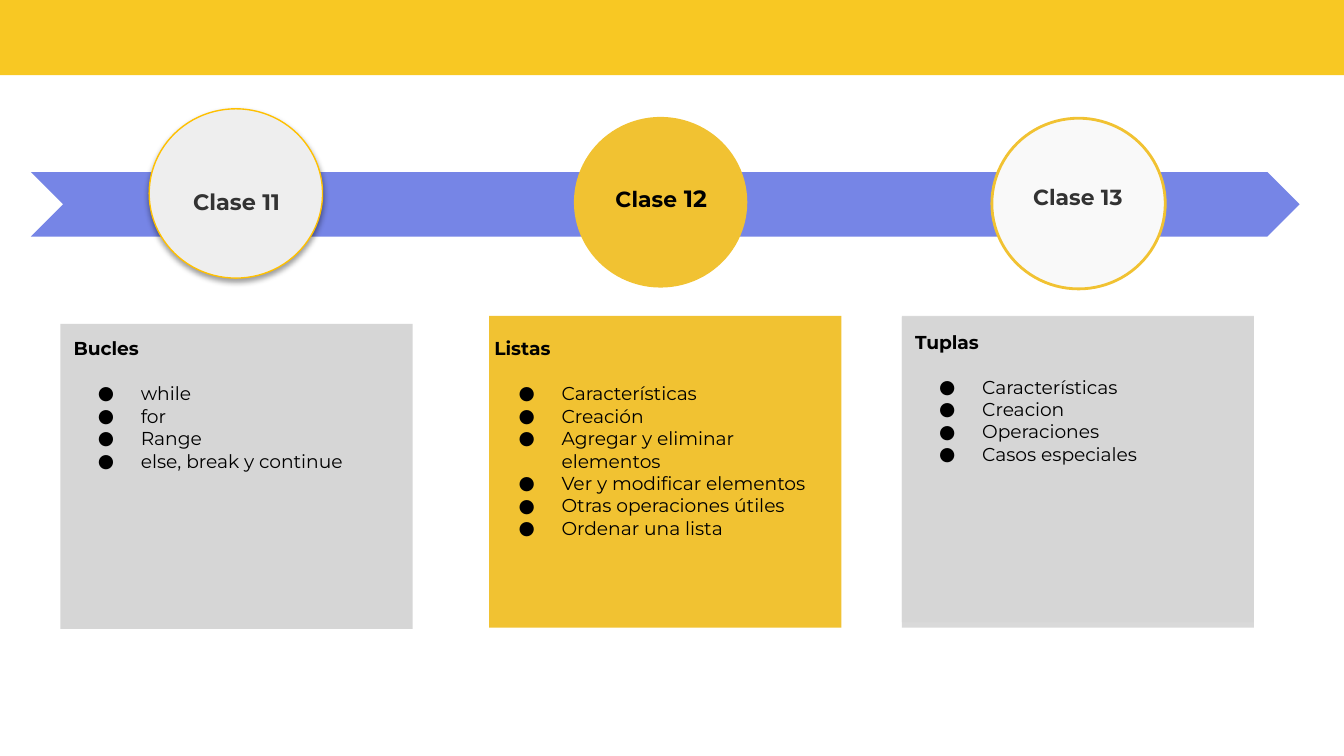
from lxml import etree
from pptx import Presentation
from pptx.dml.color import RGBColor
from pptx.enum.shapes import MSO_SHAPE
from pptx.enum.text import MSO_ANCHOR, PP_ALIGN
from pptx.oxml.ns import qn
from pptx.util import Inches, Pt

RECT, OVAL, CHEVRON = MSO_SHAPE.RECTANGLE, MSO_SHAPE.OVAL, MSO_SHAPE.CHEVRON
TOP, LEFT, CENTER = MSO_ANCHOR.TOP, PP_ALIGN.LEFT, PP_ALIGN.CENTER

BLACK = RGBColor(0x00, 0x00, 0x00)
DARK = RGBColor(0x33, 0x33, 0x33)
YELLOW = RGBColor(0xF8, 0xC8, 0x23)
GOLD = RGBColor(0xF1, 0xC2, 0x32)
AMBER = RGBColor(0xFF, 0xC0, 0x00)
BLUE = RGBColor(0x76, 0x85, 0xE6)
PANEL_GREY = RGBColor(0xD9, 0xD9, 0xD9)
CARD_GREY = RGBColor(0xD6, 0xD6, 0xD6)
CIRCLE_GREY = RGBColor(0xEE, 0xEE, 0xEE)
OFF_WHITE = RGBColor(0xF9, 0xF9, 0xF9)

FONT = "Montserrat"
BODY_SIZE = 10
CARD_W, CARD_H, PANEL_H = 2.62, 2.27, 2.32
CIRCLE_W, CIRCLE_H = 1.29, 1.27
LABEL_W, LABEL_H = 1, 0.33


def add_shape(s, kind, box, fill, line=None, line_width=0):
    sp = s.shapes.add_shape(kind, *map(Inches, box))
    sp.shadow.inherit = False
    sp.fill.solid()
    sp.fill.fore_color.rgb = fill
    if line is None:
        sp.line.fill.background()
    else:
        sp.line.color.rgb = line
        sp.line.width = Pt(line_width)
    return sp


def add_text_box(s, box):
    return s.shapes.add_textbox(*map(Inches, box))


def set_frame(sp):
    tf = sp.text_frame
    margins = dict.fromkeys(
        ("margin_left", "margin_top", "margin_right", "margin_bottom"), Inches(0.1))
    for name, value in {"word_wrap": True, "vertical_anchor": TOP, **margins}.items():
        setattr(tf, name, value)
    return tf


def add_run(p, text, size, color=BLACK, bold=False):
    r = p.add_run()
    r.text = text
    for name, value in {"name": FONT, "size": Pt(size), "bold": bold}.items():
        setattr(r.font, name, value)
    r.font.color.rgb = color


def add_bullet(p):
    pPr = p._p.get_or_add_pPr()
    pPr.set("marL", str(Inches(0.5)))
    pPr.set("indent", str(Inches(-0.32)))
    color = etree.SubElement(pPr, qn("a:buClr"))
    etree.SubElement(color, qn("a:srgbClr"), val=str(BLACK))
    etree.SubElement(pPr, qn("a:buSzPts"), val=str(BODY_SIZE * 100))
    etree.SubElement(pPr, qn("a:buFont"), typeface=FONT)
    etree.SubElement(pPr, qn("a:buChar"), char="●")


def add_drop_shadow(sp):
    effects = sp._element.spPr.find(qn("a:effectLst"))
    shadow = etree.SubElement(effects, qn("a:outerShdw"), blurRad=str(Pt(3.1)),
                              dist=str(Pt(1.6)), dir="5400000", rotWithShape="0")
    color = etree.SubElement(shadow, qn("a:srgbClr"), val=str(BLACK))
    etree.SubElement(color, qn("a:alpha"), val="38000")


def fill_card(sp, heading, topics):
    tf = set_frame(sp)
    p = tf.paragraphs[0]
    p.alignment = LEFT
    p.space_after = Pt(12)
    add_run(p, heading, BODY_SIZE, bold=True)
    for topic in topics:
        p = tf.add_paragraph()
        p.alignment = LEFT
        add_bullet(p)
        add_run(p, topic, BODY_SIZE)


def add_class_circle(s, left, top, fill, label_offset, runs, color,
                     line=None, line_width=0, height=CIRCLE_H, shadow=False):
    """Circle with its label placed relative to the circle's corner."""
    circle = add_shape(s, OVAL, (left, top, CIRCLE_W, height), fill, line, line_width)
    if shadow:
        add_drop_shadow(circle)
    dx, dy = label_offset
    label = add_text_box(s, (left + dx, top + dy, LABEL_W, LABEL_H))
    p = set_frame(label).paragraphs[0]
    p.alignment = CENTER
    for text, size in runs:
        add_run(p, text, size, color, bold=True)


def add_timeline(s, box):
    left, top, width, height = box
    add_shape(s, CHEVRON, box, BLUE)
    add_class_circle(s, left + 0.88, top - 0.47, CIRCLE_GREY, (0.15, 0.49),
                     [("Clase 11", 12)], DARK, AMBER, 0.75, height=1.26, shadow=True)
    add_class_circle(s, left + 4.04, top - 0.41, GOLD, (0.15, 0.4),
                     [("Clase", 11.7), (" 12", 12.6)], BLACK)
    add_class_circle(s, left + 7.15, top - 0.4, OFF_WHITE, (0.14, 0.39),
                     [("Clase 13", 11.7)], DARK, GOLD, 1.5)


def add_cards(s, left, top):
    # Class 11: grey card
    card = add_shape(s, RECT, (left, top + 0.06, CARD_W, CARD_H), CARD_GREY)
    fill_card(card, "Bucles", ["while", "for", "Range", "else, break y continue"])

    # Class 12: gold panel with its text set slightly to the left
    add_shape(s, RECT, (left + 3.19, top, CARD_W, PANEL_H), GOLD)
    text = add_text_box(s, (left + 3.13, top + 0.06, CARD_W, CARD_H))
    fill_card(text, "Listas", [
        "Características", "Creación", "Agregar y eliminar elementos",
        "Ver y modificar elementos", "Otras operaciones útiles", "Ordenar una lista"])

    # Class 13: grey card on a grey panel
    add_shape(s, RECT, (left + 6.26, top, CARD_W, PANEL_H), PANEL_GREY)
    card = add_shape(s, RECT, (left + 6.26, top + 0.01, CARD_W, CARD_H), CARD_GREY)
    fill_card(card, "Tuplas",
              ["Características", "Creacion", "Operaciones", "Casos especiales"])


def main():
    prs = Presentation()
    prs.slide_width = Inches(10)
    prs.slide_height = prs.slide_width * 9 // 16  # widescreen
    s = prs.slides.add_slide(prs.slide_layouts[6])
    add_shape(s, RECT, (-0.01, -0.05, 10.03, 0.61), YELLOW)  # top band
    add_timeline(s, (0.23, 1.28, 9.44, 0.48))
    add_cards(s, 0.45, 2.35)
    prs.save("out.pptx")


if __name__ == "__main__":
    main()
